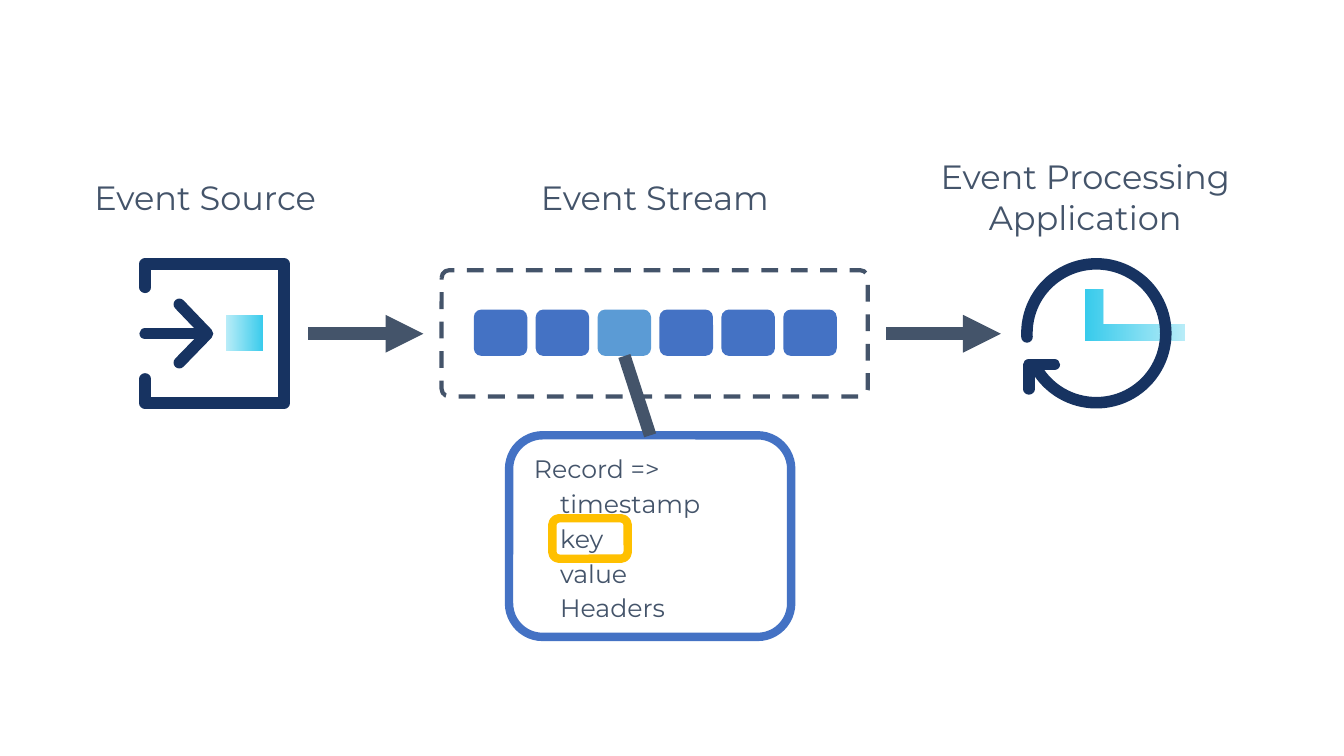
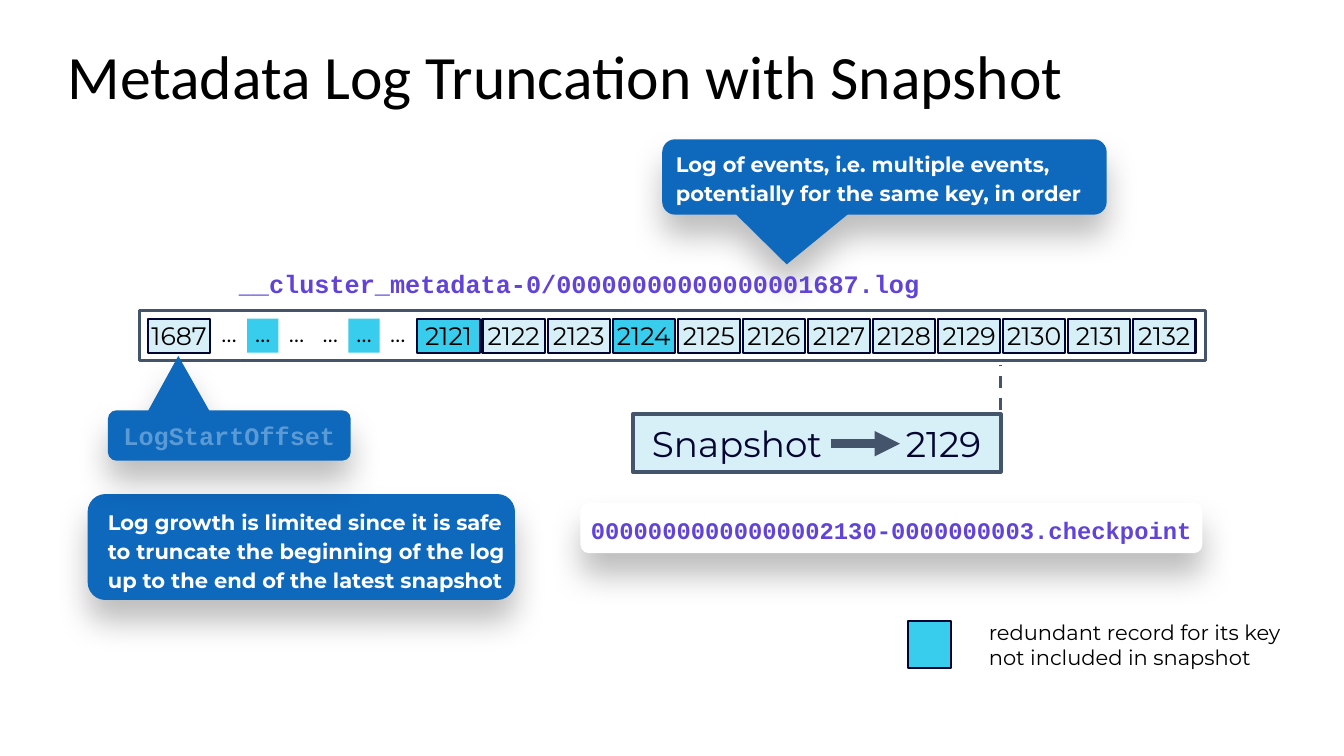
from lxml import etree
from pptx import Presentation
from pptx.dml.color import RGBColor
from pptx.enum.dml import MSO_LINE
from pptx.enum.shapes import MSO_CONNECTOR, MSO_SHAPE
from pptx.enum.text import MSO_ANCHOR, MSO_AUTO_SIZE, PP_ALIGN
from pptx.oxml.ns import qn
from pptx.util import Cm, Pt

RECTANGLE, ROUNDED = MSO_SHAPE.RECTANGLE, MSO_SHAPE.ROUNDED_RECTANGLE
CALLOUT, ARC = MSO_SHAPE.ROUNDED_RECTANGULAR_CALLOUT, MSO_SHAPE.ARC
STRAIGHT, DASH = MSO_CONNECTOR.STRAIGHT, MSO_LINE.DASH
LEFT, CENTER = PP_ALIGN.LEFT, PP_ALIGN.CENTER
TOP, MIDDLE = MSO_ANCHOR.TOP, MSO_ANCHOR.MIDDLE

COLORS = {
    "white": "FFFFFF", "black": "000000", "slate": "44546A", "blue": "4472C4",
    "light_blue": "5B9BD5", "navy": "173361", "ink": "040531", "cyan": "38CCED",
    "pale": "D7EFF6", "callout": "0E68BC", "purple": "6144D7", "amber": "FFC000",
}
SANS, MONO, TITLE_FONT = "Montserrat", "Courier New", "Calibri"
ICON_STROKE = 8.25
THIN_INSETS = (0.13, 0.13, 0.13, 0.13)
CALLOUT_INSETS = (0.25, 0.05, 0.25, 0.05)


def rgb(name):
    return RGBColor.from_string(COLORS[name])


def cm_box(box):
    return [Cm(value) for value in box]


def write(shape, lines, size, color, font=SANS, bold=False, align=LEFT, anchor=MIDDLE,
          insets=THIN_INSETS, spacing=None, indent=0, tab=None):
    """Fill a shape with one paragraph per line; every line after the first is indented."""
    frame = shape.text_frame
    frame.word_wrap = True
    frame.auto_size = MSO_AUTO_SIZE.NONE
    frame.vertical_anchor = anchor
    frame.margin_left, frame.margin_top, frame.margin_right, frame.margin_bottom = cm_box(insets)
    for index, line in enumerate(lines):
        paragraph = frame.add_paragraph() if index else frame.paragraphs[0]
        properties = paragraph._p.get_or_add_pPr()
        if index and indent:
            properties.set("marL", str(Cm(indent)))
        if tab:
            tabs = etree.SubElement(properties, qn("a:tabLst"))
            etree.SubElement(tabs, qn("a:tab"), pos=str(Cm(tab)), algn="l")
        paragraph.alignment = align
        if spacing:
            paragraph.line_spacing = spacing
        run = paragraph.add_run()
        run.text = line
        run.font.name, run.font.size, run.font.bold = font, Pt(size), bold
        run.font.color.rgb = rgb(color)


def style_line(line, color, width, dash=None):
    line.color.rgb = rgb(color)
    line.width = Pt(width)
    if dash:
        line.dash_style = dash


def add_box(slide, kind, box, fill=None, line=None, adjustments=()):
    """Add a preset shape; line is (color, points) or (color, points, dash)."""
    shape = slide.shapes.add_shape(kind, *cm_box(box))
    shape.shadow.inherit = False
    if fill:
        shape.fill.solid()
        shape.fill.fore_color.rgb = rgb(fill)
    else:
        shape.fill.background()
    if line:
        style_line(shape.line, *line)
    else:
        shape.line.fill.background()
    for index, value in enumerate(adjustments):
        shape.adjustments[index] = value
    return shape


def add_text(slide, box, text, size, color, **options):
    write(slide.shapes.add_textbox(*cm_box(box)), [text], size, color, anchor=TOP, **options)


def add_shadow(shape):
    effects = shape.element.spPr.find(qn("a:effectLst"))
    shadow = etree.SubElement(effects, qn("a:outerShdw"), blurRad=str(Pt(23)),
                              dist=str(Pt(15)), dir="5400000", algn="t", rotWithShape="0")
    color = etree.SubElement(shadow, qn("a:srgbClr"), val=COLORS["black"])
    etree.SubElement(color, qn("a:alpha"), val="25000")


def add_line(slide, start, end, width, dash=None, arrow=False):
    connector = slide.shapes.add_connector(STRAIGHT, *cm_box(start + end))
    style_line(connector.line, "slate", width, dash)
    if arrow:
        outline = connector.element.spPr.find(qn("a:ln"))
        etree.SubElement(outline, qn("a:tailEnd"), type="triangle")
    etree.SubElement(connector.element.spPr, qn("a:effectLst"))
    return connector


def add_outline(slide, points, close):
    first, *others = [tuple(cm_box(point)) for point in points]
    builder = slide.shapes.build_freeform(*first)
    builder.add_line_segments(others, close=close)
    shape = builder.convert_to_shape()
    shape.shadow.inherit = False
    return shape


def round_ends(shape):
    style_line(shape.line, "navy", ICON_STROKE)
    outline = shape.element.spPr.find(qn("a:ln"))
    outline.set("cap", "rnd")
    etree.SubElement(outline, qn("a:round"))


def add_stroke(slide, points):
    """Draw an open icon line with round ends and corners."""
    shape = add_outline(slide, points, close=False)
    shape.fill.background()
    round_ends(shape)


def fade(shape, angle):
    """Fill with cyan that runs from translucent to opaque."""
    shape.line.fill.background()
    shape.fill.gradient()
    shape.fill.gradient_angle = angle
    for stop in shape.fill.gradient_stops:
        stop.color.rgb = rgb("cyan")
    first_color = shape.fill.gradient_stops[0].color
    first_color.rgb = rgb("cyan")
    stop_list = shape.element.spPr.find(qn("a:gradFill")).find(qn("a:gsLst"))
    etree.SubElement(stop_list[0][0], qn("a:alpha"), val="35000")


def add_source_icon(slide):
    fade(add_box(slide, RECTANGLE, (5.72, 7.95, 0.89, 0.89)), 0)
    add_stroke(slide, [(3.66, 8.41), (5.13, 8.41)])
    add_stroke(slide, [(4.52, 7.67), (5.23, 8.41), (4.52, 9.14)])
    add_stroke(slide, [(3.66, 7.24), (3.66, 6.65), (7.16, 6.65),
                       (7.16, 10.16), (3.66, 10.16), (3.66, 9.55)])


def add_clock_icon(slide):
    hands = [(29.85, 8.59), (27.36, 8.59), (27.36, 7.29),
             (27.81, 7.29), (27.81, 8.15), (29.85, 8.15)]
    fade(add_outline(slide, hands, close=True), 180)
    degree = 0.6
    dial = add_box(slide, ARC, (25.88, 6.65, 3.5, 3.5),
                   adjustments=(177 * degree, 145 * degree))
    round_ends(dial)
    add_stroke(slide, [(25.93, 9.8), (25.93, 9.19), (26.57, 9.19)])


def add_stream(slide):
    """Draw the dashed stream and return its highlighted record."""
    add_box(slide, ROUNDED, (11.13, 6.81, 10.74, 3.18), "white", ("slate", 3, DASH), [0.06])
    highlighted = 2
    records = [add_box(slide, ROUNDED, (11.94 + 1.56 * index, 7.8, 1.35, 1.17),
                       "light_blue" if index == highlighted else "blue")
               for index in range(6)]
    return records[highlighted]


def build_event_slide(presentation):
    slide = presentation.slides.add_slide(presentation.slide_layouts[6])
    record = add_stream(slide)
    add_source_icon(slide)
    add_clock_icon(slide)
    for box, label in (
        ((2.01, 4.32, 6.32, 1.27), "Event Source"),
        ((13.34, 4.32, 6.32, 1.27), "Event Stream"),
        ((23.16, 3.81, 8.38, 2.31), "Event Processing Application"),
    ):
        add_text(slide, box, label, 24, "slate", align=CENTER)
    for left, right in ((7.77, 10.67), (22.33, 25.22)):
        add_line(slide, (left, 8.41), (right, 8.41), 9, arrow=True)

    details = add_box(slide, ROUNDED, (12.83, 10.97, 7.11, 5.08), "white", ("blue", 6))
    write(details, ["Record =>", "timestamp", "key", "value", "Headers"], 18, "slate",
          insets=(0.38, 0.13, 0.13, 0.13), spacing=1.15, indent=0.66)
    add_box(slide, ROUNDED, (13.92, 13.06, 1.9, 1.02), line=("amber", 6))
    link = add_line(slide, (15.73, 8.97), (16.38, 10.97), 9)
    link.begin_connect(record, 2)
    link.end_connect(details, 0)


def add_log(slide):
    add_box(slide, RECTANGLE, (3.51, 7.82, 26.87, 1.27), "white", ("slate", 2.25))
    top, height = 8.03, 0.86
    offsets = [(3.73, 1687)] + [(10.52 + 1.64 * i, 2121 + i) for i in range(12)]
    for left, offset in offsets:
        fill = "cyan" if offset in (2121, 2124) else "pale"
        cell = add_box(slide, RECTANGLE, (left, top, 1.57, height), fill, ("ink", 1.5))
        write(cell, [str(offset)], 18, "black", align=CENTER, insets=(0, 0.13, 0, 0.13))
    for index in range(6):
        fill = "cyan" if index in (1, 4) else None
        gap = add_box(slide, RECTANGLE, (5.38 + 0.85 * index, top, 0.79, height), fill)
        write(gap, ["…"], 17, "black", align=CENTER, anchor=TOP, insets=(0, 0, 0, 0.13))


def add_note(slide, kind, box, fill, text, size, color, adjustments=(), **options):
    note = add_box(slide, kind, box, fill, adjustments=adjustments)
    add_shadow(note)
    write(note, [text], size, color, bold=True, **options)


def build_snapshot_slide(presentation):
    slide = presentation.slides.add_slide(presentation.slide_layouts[5])
    title = slide.shapes.title
    title.left, title.top, title.width, title.height = cm_box((1.7, 0.99, 28.8, 1.57))
    write(title, ["Metadata Log Truncation with Snapshot"], 44, "black", TITLE_FONT,
          anchor=TOP, insets=(0, 0.18, 0.33, 0.18), spacing=0.9)

    add_box(slide, RECTANGLE, (22.89, 15.65, 1.07, 1.19), "cyan", ("ink", 1.5))
    add_text(slide, (24.79, 15.47, 7.8, 1.55),
             "redundant record for its key not included in snapshot", 15, "black")
    add_note(slide, CALLOUT, (16.69, 3.51, 11.2, 1.9), "callout",
             "Log of events, i.e. multiple events, potentially for the same key, in order",
             15, "white", (-0.22, 1.16, 0.17), insets=CALLOUT_INSETS, spacing=1.15)
    add_text(slide, (5.89, 6.63, 17.68, 1.02), "__cluster_metadata-0/00000000000000001687.log",
             18, "purple", font=MONO, bold=True)
    add_note(slide, ROUNDED, (14.63, 12.67, 15.67, 1.27), "white",
             "00000000000000002130-0000000003.checkpoint", 17, "purple",
             font=MONO, align=CENTER, insets=(0.13, 0.25, 0.13, 0.13))
    add_note(slide, ROUNDED, (2.21, 12.45, 10.77, 2.67), "callout",
             "Log growth is limited since it is safe to truncate the beginning of the log "
             "up to the end of the latest snapshot",
             15, "white", insets=(0.38, 0.25, 0.13, 0.13), spacing=1.15)
    add_log(slide)

    snapshot = add_box(slide, RECTANGLE, (15.95, 10.44, 9.27, 1.45), "pale", ("slate", 3))
    write(snapshot, ["Snapshot\t2129"], 25.5, "ink", insets=(0.48, 0.13, 0, 0.13), tab=6.4)
    add_line(slide, (20.93, 11.18), (22.68, 11.18), 6, arrow=True)
    add_line(slide, (25.22, 10.34), (25.22, 9.19), 2.25, DASH)
    add_note(slide, CALLOUT, (2.72, 10.34, 6.12, 1.27), "callout", "LogStartOffset",
             18, "light_blue", (-0.21, -1.58, 0.17), font=MONO, align=CENTER,
             insets=CALLOUT_INSETS)


def main():
    presentation = Presentation()
    presentation.slide_width, presentation.slide_height = Cm(33.87), Cm(19.05)
    build_event_slide(presentation)
    build_snapshot_slide(presentation)
    presentation.save("out.pptx")


if __name__ == "__main__":
    main()
